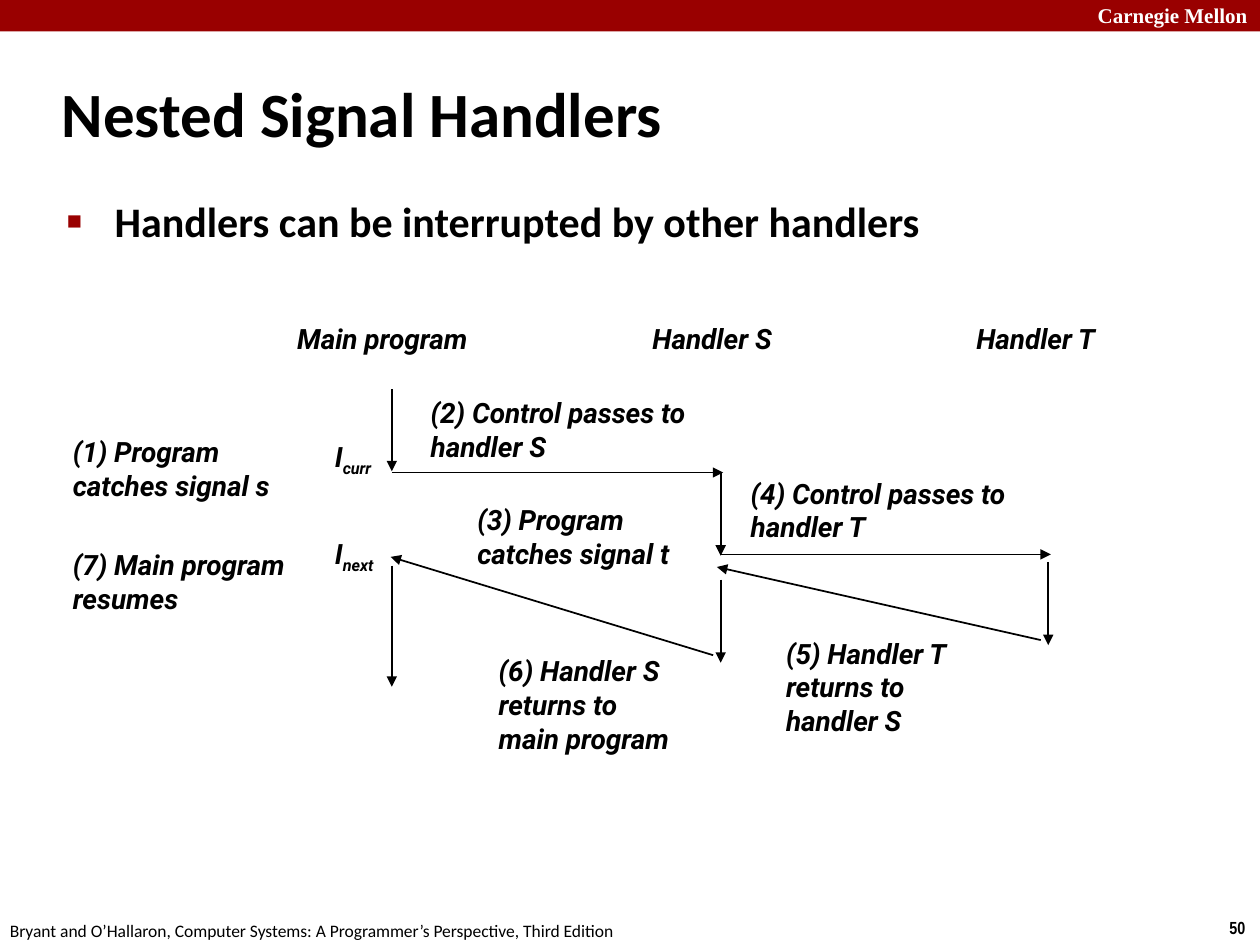
from dataclasses import dataclass

from lxml.etree import SubElement
from pptx import Presentation
from pptx.dml.color import RGBColor
from pptx.enum.shapes import MSO_CONNECTOR, MSO_SHAPE
from pptx.enum.text import MSO_ANCHOR, MSO_AUTO_SIZE, PP_ALIGN
from pptx.oxml.ns import qn
from pptx.util import Inches, Pt


@dataclass(frozen=True)
class Theme:
    red: RGBColor = RGBColor(0x99, 0x00, 0x00)
    black: RGBColor = RGBColor(0x00, 0x00, 0x00)
    white: RGBColor = RGBColor(0xFF, 0xFF, 0xFF)
    main_font: str = "Calibri"
    label_font: str = "Roboto"
    banner_font: str = "Times New Roman"
    number_font: str = "Arial Narrow"
    title_size: int = 36
    body_size: int = 24
    label_size: int = 16
    banner_size: int = 12
    footer_size: int = 10
    line_width: int = 1


@dataclass(frozen=True)
class Box:
    left: float
    top: float
    width: float
    height: float

    def inside(self, left, top, width, height):
        return Box(self.left + left, self.top + top, width, height)

    def lengths(self):
        return [Inches(value) for value in (self.left, self.top, self.width, self.height)]


THEME = Theme()


def add_span(para, text, font, size, color=THEME.black, bold=True, italic=False):
    span = para.add_run()
    span.text = text
    span.font.name = font
    span.font.size = Pt(size)
    span.font.color.rgb = color
    span.font.bold = bold
    span.font.italic = italic
    return span


def add_text_box(page, box, wrap=True):
    frame = page.shapes.add_textbox(*box.lengths()).text_frame
    frame.word_wrap = wrap
    return frame


def add_label(page, box, lines):
    frame = add_text_box(page, box)
    for index, line in enumerate(lines):
        para = frame.add_paragraph() if index else frame.paragraphs[0]
        add_span(para, line, THEME.label_font, THEME.label_size, italic=True)


def add_instruction(page, box, subscript):
    para = add_text_box(page, box, wrap=False).paragraphs[0]
    for text in ("I", subscript):
        span = add_span(para, text, THEME.label_font, THEME.label_size, italic=True)
    span.font._element.set("baseline", "-25000")


def add_arrow(page, box, start, end):
    points = [Inches(value) for x, y in (start, end) for value in (box.left + x, box.top + y)]
    arrow = page.shapes.add_connector(MSO_CONNECTOR.STRAIGHT, *points)
    arrow.line.color.rgb = THEME.black
    arrow.line.width = Pt(THEME.line_width)
    properties = arrow._element.spPr
    SubElement(properties.find(qn("a:ln")), qn("a:tailEnd"), type="triangle")
    SubElement(properties, qn("a:effectLst"))


def place(holder, box, anchor):
    holder.left, holder.top, holder.width, holder.height = box.lengths()
    frame = holder.text_frame
    frame.word_wrap = True
    frame.auto_size = MSO_AUTO_SIZE.NONE
    frame.vertical_anchor = anchor
    para = frame.paragraphs[0]
    para.alignment = PP_ALIGN.LEFT
    para.space_before = Pt(0)
    return para


def build_banner(page, box):
    band = page.shapes.add_shape(MSO_SHAPE.RECTANGLE, *box.lengths())
    band.shadow.inherit = False
    band.fill.solid()
    band.fill.fore_color.rgb = THEME.red
    band.line.fill.background()
    para = add_text_box(page, box.inside(8.57, -0.03, 1.43, 0.3)).paragraphs[0]
    para.alignment = PP_ALIGN.RIGHT
    para.runs or add_span(para, "Carnegie Mellon", THEME.banner_font, THEME.banner_size, THEME.white)


def build_title(page, box):
    para = place(page.shapes.title, box, MSO_ANCHOR.MIDDLE)
    add_span(para, "Nested Signal Handlers", THEME.main_font, THEME.title_size)


def build_body(page, box):
    para = place(page.placeholders[1], box, MSO_ANCHOR.TOP)
    properties = para._p.get_or_add_pPr()
    properties.set("marL", str(Inches(0.38)))
    properties.set("indent", str(Inches(-0.38)))
    color = SubElement(properties, qn("a:buClr"))
    SubElement(color, qn("a:srgbClr"), val=str(THEME.red))
    SubElement(properties, qn("a:buSzPct"), val="60000")
    SubElement(properties, qn("a:buChar"), char="■")
    add_span(para, "Handlers can be interrupted by other handlers", THEME.main_font, THEME.body_size)


def build_diagram(page, box):
    main, handler_s, handler_t = 2.61, 5.22, 7.82
    arrows = [
        ((main, 0.59), (main, 1.24)),
        ((main, 1.25), (handler_s + 0.02, 1.25)),
        ((handler_s, 1.25), (handler_s, 1.91)),
        ((handler_s, 1.9), (handler_t + 0.02, 1.9)),
        ((handler_t, 1.96), (handler_t, 2.62)),
        ((handler_t - 0.06, 2.58), (handler_s - 0.03, 2)),
        ((handler_s, 2.1), (handler_s, 2.76)),
        ((handler_s - 0.06, 2.7), (main - 0.01, 1.92)),
        ((main, 1.99), (main, 2.95)),
    ]
    for start, end in arrows:
        add_arrow(page, box, start, end)

    labels = [
        ((1.76, 0, 1.8, 0.37), ["Main program"]),
        ((4.58, 0, 1.4, 0.37), ["Handler S"]),
        ((7.15, 0, 1.4, 0.37), ["Handler T"]),
        ((-0.02, 0.9, 2.1, 0.64), ["(1) Program catches signal s"]),
        ((2.82, 0.59, 2.24, 0.64), ["(2) Control passes to handler S"]),
        ((3.19, 1.44, 2.03, 0.64), ["(3) Program catches signal t"]),
        ((5.36, 1.23, 2.31, 0.64), ["(4) Control passes to handler T"]),
        ((5.64, 2.5, 1.62, 0.91), ["(5) Handler T", "returns to handler S"]),
        ((3.36, 2.64, 1.62, 0.91), ["(6) Handler S", "returns to main program"]),
        ((-0.02, 1.8, 2.1, 0.64), ["(7) Main program resumes"]),
    ]
    for area, lines in labels:
        add_label(page, box.inside(*area), lines)

    for top, subscript in ((0.94, "curr"), (1.71, "next")):
        add_instruction(page, box.inside(2.06, top, 0.6, 0.37), subscript)


def build_footer(page, box):
    source = add_text_box(page, box.inside(-0.02, 0.02, 5.08, 0.27), wrap=False).paragraphs[0]
    add_span(
        source,
        "Bryant and O’Hallaron, Computer Systems: A Programmer’s Perspective, Third Edition",
        THEME.main_font,
        THEME.footer_size,
        bold=False,
    )
    number = add_text_box(page, box.inside(9.66, 0, 0.34, 0.27), wrap=False).paragraphs[0]
    add_span(number, "50", THEME.number_font, THEME.footer_size)


def main():
    deck = Presentation()
    deck.slide_width, deck.slide_height = Inches(10), Inches(7.5)
    page = deck.slides.add_slide(deck.slide_layouts[1])
    build_banner(page, Box(0, 0, 10, 0.25))
    build_title(page, Box(0.39, 0.48, 8.3, 0.83))
    build_body(page, Box(0.43, 1.5, 8.64, 0.68))
    build_diagram(page, Box(0.5, 2.5, 8.5, 3.55))
    build_footer(page, Box(0, 7.23, 10, 0.27))
    deck.save("out.pptx")


if __name__ == "__main__":
    main()
